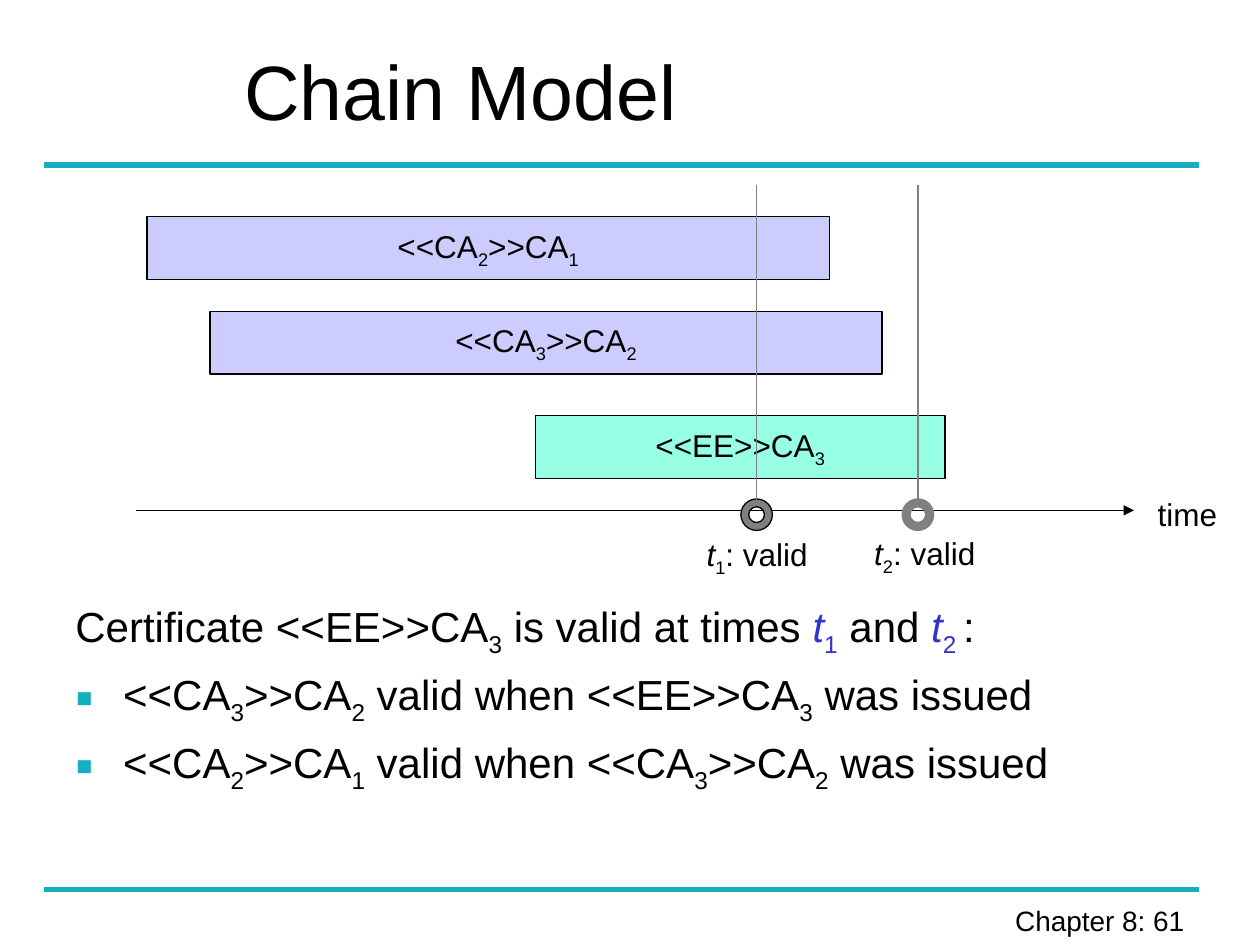
from lxml import etree
from pptx import Presentation
from pptx.dml.color import RGBColor
from pptx.enum.shapes import MSO_CONNECTOR, MSO_SHAPE
from pptx.enum.text import MSO_ANCHOR, PP_ALIGN
from pptx.oxml.ns import qn
from pptx.util import Inches, Pt

STRAIGHT = MSO_CONNECTOR.STRAIGHT
RECTANGLE, DONUT = MSO_SHAPE.RECTANGLE, MSO_SHAPE.DONUT
TOP, MIDDLE = MSO_ANCHOR.TOP, MSO_ANCHOR.MIDDLE
LEFT, CENTER, RIGHT = PP_ALIGN.LEFT, PP_ALIGN.CENTER, PP_ALIGN.RIGHT

BLACK = RGBColor(0x00, 0x00, 0x00)
TEAL = RGBColor(0x16, 0xAF, 0xC2)
BLUE = RGBColor(0x33, 0x33, 0xCC)
LILAC = RGBColor(0xCC, 0xCC, 0xFF)
MINT = RGBColor(0x97, 0xFF, 0xE4)
GREY = RGBColor(0x80, 0x80, 0x80)

prs = Presentation()
prs.slide_width, prs.slide_height = Inches(10), Inches(7.5)
COL, ROW = prs.slide_width / 120, prs.slide_height / 90
slide = prs.slides.add_slide(prs.slide_layouts[6])


def write(paragraph, marked, size, align=LEFT):
    """Pieces split by |, led by # for blue, / for italic, _ for subscript."""
    paragraph.alignment = align
    for piece in marked.split("|"):
        words = piece.lstrip("#/_")
        marks = piece[:len(piece) - len(words)]
        run = paragraph.add_run()
        run.text = words
        run.font.color.rgb = BLUE if "#" in marks else BLACK
        for key, value in {"name": "Arial", "size": Pt(size),
                           "italic": "/" in marks}.items():
            setattr(run.font, key, value)
        if "_" in marks:
            run.font._element.set("baseline", "-25000")


def draw_line(x1, y1, x2, y2, color, width=0.75):
    line = slide.shapes.add_connector(
        STRAIGHT, int(x1 * COL), int(y1 * ROW), int(x2 * COL), int(y2 * ROW))
    line.line.color.rgb = color
    line.line.width = Pt(width)
    etree.SubElement(line._element.spPr, qn("a:effectLst"))
    return line


for rule_row in (15.72, 84.72):
    draw_line(4.2, rule_row, 114.24, rule_row, TEAL, 3)

certificates = [
    (14, 20.64, 65, LILAC, "<<CA|_2|>>CA|_1"),
    (20, 29.64, 64, LILAC, "<<CA|_3|>>CA|_2"),
    (51, 39.6, 39, MINT, "<<EE>>CA|_3"),
]
for col, row, length, color, label in certificates:
    validity = slide.shapes.add_shape(
        RECTANGLE, int(col * COL), int(row * ROW), int(length * COL), int(6 * ROW))
    validity.shadow.inherit = False
    validity.fill.solid()
    validity.fill.fore_color.rgb = color
    validity.line.color.rgb = BLACK
    validity.line.width = Pt(0.75)
    validity.text_frame.vertical_anchor = MIDDLE
    validity.text_frame.word_wrap = False
    write(validity.text_frame.paragraphs[0], label, 18, CENTER)

time_axis = draw_line(13, 48.6, 108, 48.6, BLACK)
etree.SubElement(time_axis.line._get_or_add_ln(), qn("a:tailEnd"), type="triangle")

for center, outline in ((72.06, BLACK), (87.42, GREY)):
    moment = slide.shapes.add_shape(
        DONUT, int((center - 1.5) * COL), int(47.52 * ROW), int(3 * COL), int(3 * ROW))
    moment.adjustments[0] = 0.25
    moment.shadow.inherit = False
    moment.fill.solid()
    moment.fill.fore_color.rgb = GREY
    moment.line.color.rgb = outline
    moment.line.width = Pt(0.75)
    draw_line(center, 47.64, center, 17.64, GREY)

texts = [
    (22.08, 3.36, 95.52, 10.44, 44, LEFT, MIDDLE, True, ["Chain Model"]),
    (88.32, 85.44, 26.4, 7.68, 16, RIGHT, TOP, True, ["Chapter 8: 61 "]),
    (109.08, 46.56, 8.04, 4.8, 18, LEFT, TOP, False, ["time"]),
    (66.12, 50.4, 12, 5.28, 18, LEFT, TOP, False, ["/t|_1|: valid"]),
    (82.08, 50.28, 12, 5.28, 18, LEFT, TOP, False, ["/t|_2|: valid"]),
    (6, 56.64, 111.96, 21, 24, LEFT, TOP, True, [
        "Certificate <<EE>>CA|_3| is valid at times |#/t|#_1| and |#/t|#_2 |:",
        "<<CA|_3|>>CA|_2| valid when <<EE>>CA|_3| was issued",
        "<<CA|_2|>>CA|_1| valid when <<CA|_3|>>CA|_2| was issued",
    ]),
]
for col, row, width, height, size, align, anchor, wrap, lines in texts:
    frame = slide.shapes.add_textbox(
        int(col * COL), int(row * ROW), int(width * COL), int(height * ROW)).text_frame
    frame.word_wrap = wrap
    frame.vertical_anchor = anchor
    for number, marked in enumerate(lines):
        paragraph = frame.add_paragraph() if number else frame.paragraphs[0]
        write(paragraph, marked, size, align)
        if len(lines) > 1:
            paragraph.space_before = Pt(6)
            properties = paragraph._p.get_or_add_pPr()
            properties.set("marL", str(Inches(0.38)))
            properties.set("indent", str(-Inches(0.38)))
        if number:
            bullet_color = etree.SubElement(properties, qn("a:buClr"))
            etree.SubElement(bullet_color, qn("a:srgbClr"), val=str(TEAL))
            etree.SubElement(properties, qn("a:buSzPct"), val="125000")
            etree.SubElement(properties, qn("a:buFont"), typeface="Arial")
            etree.SubElement(properties, qn("a:buChar"), char="▪")

prs.save("out.pptx")
